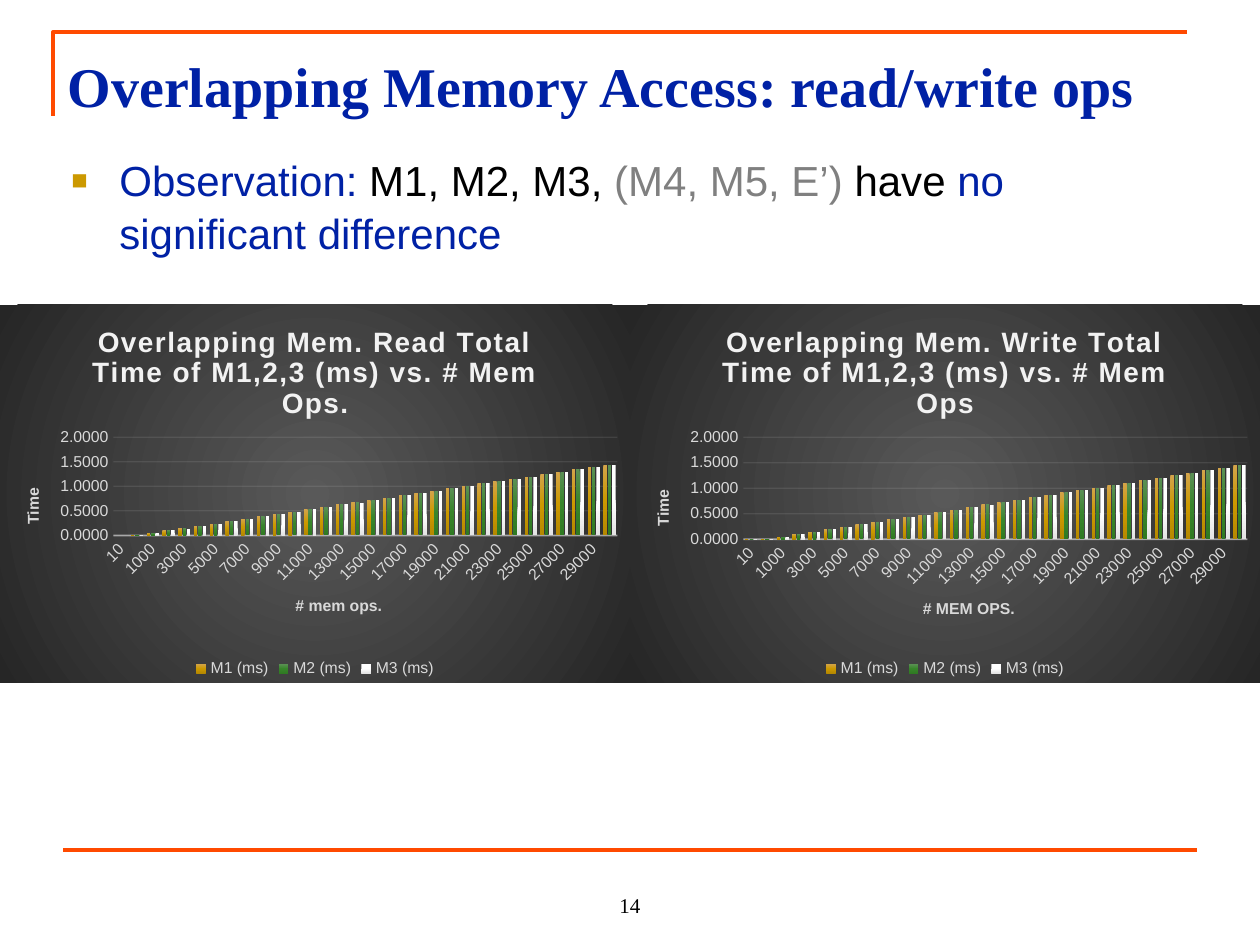
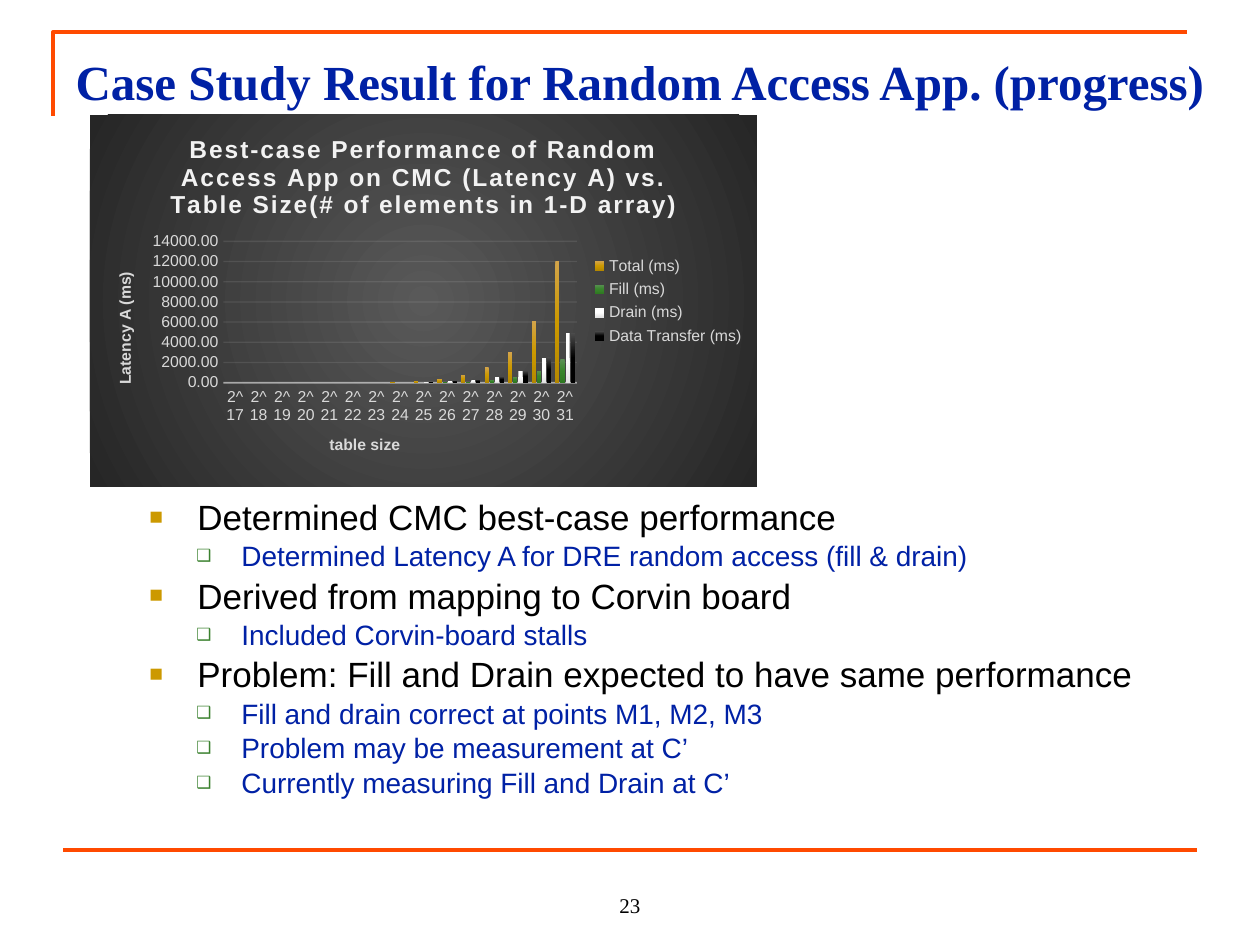
from pptx import Presentation
from pptx.chart.data import CategoryChartData
from pptx.dml.color import RGBColor
from pptx.enum.chart import XL_CHART_TYPE, XL_LEGEND_POSITION, XL_TICK_MARK
from pptx.enum.shapes import MSO_CONNECTOR
from pptx.enum.text import MSO_ANCHOR, MSO_AUTO_SIZE, PP_ALIGN
from pptx.oxml import parse_xml
from pptx.oxml.ns import nsdecls, qn
from pptx.oxml.xmlchemy import OxmlElement
from pptx.util import Pt

EMU_PER_PX = 914400 / 126
SANS, SERIF = "Arial", "Times New Roman"
BLUE = RGBColor(0x00, 0x21, 0xA5)
ORANGE = RGBColor(0xFF, 0x4A, 0x00)
BLACK = RGBColor(0x00, 0x00, 0x00)
GRAY = RGBColor(0x80, 0x80, 0x80)
GOLD = RGBColor(0xCC, 0x99, 0x00)
GREEN = RGBColor(0x3B, 0x81, 0x2F)
PALE = RGBColor(0xF2, 0xF2, 0xF2)
SILVER = RGBColor(0xD9, 0xD9, 0xD9)
SMOKE = RGBColor(0x59, 0x59, 0x59)
CHARCOAL = RGBColor(0x26, 0x26, 0x26)
WHITE = RGBColor(0xFF, 0xFF, 0xFF)

SERIES_SHADES = [
    (RGBColor(0xD3, 0xA4, 0x4B), GOLD, RGBColor(0xB5, 0x88, 0x00)),
    (RGBColor(0x5B, 0x90, 0x55), RGBColor(0x38, 0x85, 0x2B), RGBColor(0x2F, 0x7A, 0x22)),
    (WHITE, WHITE, RGBColor(0xE3, 0xE3, 0xE3)),
    (RGBColor(0x4B, 0x4B, 0x4B), BLACK, BLACK),
]
LINEAR = '<a:lin ang="5400000" scaled="0"/>'
RADIAL = ('<a:path path="circle"><a:fillToRect l="50000" t="50000" '
          'r="50000" b="50000"/></a:path>')

BULLETS = [
    {"mark": "■", "color": GOLD, "size": 65, "left": 48, "hang": 48},
    {"mark": "❑", "color": GREEN, "size": 60, "left": 92, "hang": 45},
]

MEMORY_OPS = [10, 100, *range(1000, 30001, 1000)]
READ_TIMES = [0, 0.01, 0.05, 0.1, 0.15, 0.19, 0.24, 0.29, 0.34, 0.39, 0.43,
              0.48, 0.53, 0.58, 0.63, 0.68, 0.72, 0.77, 0.82, 0.87, 0.91, 0.96,
              1.01, 1.06, 1.11, 1.16, 1.2, 1.25, 1.3, 1.35, 1.4, 1.44]
TABLE_SIZES = [f"2^{power}" for power in range(17, 32)]
LATENCIES = {
    "Total (ms)": [0] * 7 + [100, 200, 400, 800, 1500, 3000, 6100, 12100],
    "Fill (ms)": [0] * 9 + [100, 100, 300, 600, 1200, 2300],
    "Drain (ms)": [0] * 8 + [100, 200, 300, 600, 1200, 2400, 4900],
    "Data Transfer (ms)": [0] * 8 + [100, 200, 300, 600, 1200, 2500, 4900],
}


def px(length):
    return round(length * EMU_PER_PX)


def assign(target, values):
    for name, value in values.items():
        setattr(target, name, value)


def style_font(font, size, color, name=SANS, bold=False):
    assign(font, {"size": Pt(size), "name": name, "bold": bold})
    font.color.rgb = color


def place(shape, left, top, width, height):
    assign(shape, {"left": px(left), "top": px(top),
                   "width": px(width), "height": px(height)})


def revise(values, changes):
    return [changes.get(ops, value) for ops, value in zip(MEMORY_OPS, values)]


def gradient(shades, direction):
    last = len(shades) - 1
    stops = "".join(
        f'<a:gs pos="{index * 100000 // last}"><a:srgbClr val="{shade}"/></a:gs>'
        for index, shade in enumerate(shades))
    return parse_xml(f'<a:gradFill {nsdecls("a")} rotWithShape="1">'
                     f'<a:gsLst>{stops}</a:gsLst>{direction}</a:gradFill>')


def style_rule(line):
    line.color.rgb = ORANGE
    line.width = Pt(2.25)


def add_frame(page):
    builder = page.shapes.build_freeform(53, 116, scale=EMU_PER_PX)
    builder.add_line_segments([(53, 32), (1187, 32)], close=False)
    corner = builder.convert_to_shape()
    corner.shadow.inherit = False
    corner.fill.background()
    style_rule(corner.line)
    rule = page.shapes.add_connector(
        MSO_CONNECTOR.STRAIGHT, px(63), px(850), px(1197), px(850))
    style_rule(rule.line)
    rule.element.spPr.append(OxmlElement("a:effectLst"))


def add_title(page, text, size, position):
    title = page.shapes.title
    place(title, *position)
    frame = title.text_frame
    assign(frame, {"vertical_anchor": MSO_ANCHOR.TOP, "word_wrap": True,
                   "auto_size": MSO_AUTO_SIZE.NONE, "margin_top": px(13)})
    para = frame.paragraphs[0]
    para.alignment = PP_ALIGN.LEFT
    span = para.add_run()
    span.text = text
    style_font(span.font, size, BLUE, SERIF, True)


def add_text_box(page, position, **frame_format):
    box = page.shapes.add_textbox(*map(px, position))
    assign(box.text_frame, {"word_wrap": True, **frame_format})
    return box.text_frame


def add_page_number(page, number):
    frame = add_text_box(page, (504, 861, 252, 63), vertical_anchor=MSO_ANCHOR.BOTTOM)
    para = frame.paragraphs[0]
    para.alignment = PP_ALIGN.CENTER
    span = para.add_run()
    span.text = str(number)
    style_font(span.font, 12, BLACK, SERIF)


def add_bullet(para, level):
    bullet = BULLETS[level]
    para.level = level
    para.line_spacing = 1.04
    properties = para._p.get_or_add_pPr()
    properties.set("marL", str(px(bullet["left"])))
    properties.set("indent", str(-px(bullet["hang"])))
    for markup in (
            f'<a:buClr {nsdecls("a")}><a:srgbClr val="{bullet["color"]}"/></a:buClr>',
            f'<a:buSzPct {nsdecls("a")} val="{bullet["size"] * 1000}"/>',
            f'<a:buFont {nsdecls("a")} typeface="{SANS}"/>',
            f'<a:buChar {nsdecls("a")} char="{bullet["mark"]}"/>'):
        properties.append(parse_xml(markup))


def add_bullet_list(page, position, items):
    frame = add_text_box(page, position, margin_top=px(8))
    for index, (level, size, spans) in enumerate(items):
        para = frame.add_paragraph() if index else frame.paragraphs[0]
        add_bullet(para, level)
        for text, color in spans:
            span = para.add_run()
            span.text = text
            style_font(span.font, size, color)


def set_plot_area(chart, **fractions):
    plot_area = chart.element.find(qn("c:chart")).find(qn("c:plotArea"))
    for old in plot_area.findall(qn("c:layout")):
        plot_area.remove(old)
    sizes = "".join(f'<c:{name} val="{value}"/>' for name, value in fractions.items())
    plot_area.insert(0, parse_xml(
        f'<c:layout {nsdecls("c")}><c:manualLayout><c:layoutTarget val="inner"/>'
        f'<c:xMode val="edge"/><c:yMode val="edge"/>{sizes}'
        '</c:manualLayout></c:layout>'))


def set_heading(owner, text, size, color):
    para = owner.text_frame.paragraphs[0]
    span = para.add_run()
    span.text = text
    style_font(span.font, size, color, bold=True)


def style_axis(axis, title):
    assign(axis, {"major_tick_mark": XL_TICK_MARK.NONE,
                  "minor_tick_mark": XL_TICK_MARK.NONE})
    style_font(axis.tick_labels.font, 9, SILVER)
    set_heading(axis.axis_title, title, 9, SILVER)


def style_line(line, width):
    line.color.rgb = PALE
    line.width = Pt(width)


def set_attributes(chart, query, **values):
    for element in chart.element.xpath(query):
        for name, value in values.items():
            element.set(name, value)


def set_opacity(chart, query, percent):
    for color in chart.element.xpath(query):
        alpha = OxmlElement("a:alpha")
        alpha.set("val", str(percent * 1000))
        color.append(alpha)


def add_column_chart(page, position, categories, series, title, title_size,
                     axis_titles, number_format, top_value, step, legend_side,
                     label_turn, plot_area):
    data = CategoryChartData()
    data.categories = [str(category) for category in categories]
    for name, values in series.items():
        data.add_series(name, values)
    chart = page.shapes.add_chart(
        XL_CHART_TYPE.COLUMN_CLUSTERED, *map(px, position), data).chart
    style_font(chart.font, 10, BLACK)
    set_heading(chart.chart_title, title, title_size, PALE)
    set_attributes(chart, "./c:chart/c:title//a:rPr", spc="100")

    chart.has_legend = True
    assign(chart.legend, {"position": legend_side, "include_in_layout": False})
    style_font(chart.legend.font, 9, SILVER)

    category_axis, value_axis = chart.category_axis, chart.value_axis
    for axis, axis_title in zip((category_axis, value_axis), axis_titles):
        style_axis(axis, axis_title)
    style_line(category_axis.format.line, 1)
    value_axis.format.line.fill.background()
    style_line(value_axis.major_gridlines.format.line, 0.75)
    assign(value_axis, {"minimum_scale": 0, "maximum_scale": top_value,
                        "major_unit": step})
    assign(value_axis.tick_labels, {"number_format": number_format,
                                    "number_format_is_linked": False})
    set_opacity(chart, ".//c:catAx/c:spPr//a:srgbClr", 54)
    set_opacity(chart, ".//c:majorGridlines//a:srgbClr", 10)
    set_attributes(chart, ".//c:valAx/c:title//a:bodyPr", rot="-5400000", vert="horz")
    set_attributes(chart, ".//c:catAx/c:txPr/a:bodyPr",
                   rot=str(label_turn * 60000), vert="horz")

    assign(chart.plots[0], {"gap_width": 100, "overlap": -24,
                            "vary_by_categories": False})
    for bars, shades in zip(chart.element.iter(qn("c:ser")), SERIES_SHADES):
        bars.get_or_add_spPr().append(gradient(shades, LINEAR))
    background = OxmlElement("c:spPr")
    background.append(gradient((SMOKE, CHARCOAL), RADIAL))
    chart.element.find(qn("c:chart")).addnext(background)
    set_plot_area(chart, **plot_area)


def add_memory_chart(page, left, title, ops_title, times, third_times, plot_height):
    series = {"M1 (ms)": times, "M2 (ms)": times, "M3 (ms)": third_times}
    add_column_chart(
        page, (left, 305, 630, 378), MEMORY_OPS, series, title, 16,
        (ops_title, "Time"), "0.0000", 2, 0.5, XL_LEGEND_POSITION.BOTTOM, -45,
        {"x": 0.18, "y": 0.35, "w": 0.8, "h": plot_height})


def build_memory_access(page):
    add_title(page, "Overlapping Memory Access: read/write ops", 32,
              (55, 38, 1225, 110))
    add_bullet_list(page, (59, 145, 1142, 115), [
        (0, 24, [("Observation: ", BLUE), ("M1, M2, M3, ", BLACK),
                 ("(M4, M5, E’) ", GRAY), ("have ", BLACK),
                 ("no significant difference", BLUE)])])
    write_times = revise(READ_TIMES, {18000: 0.92, 19000: 0.92, 25000: 1.21, 30000: 1.45})
    write_times = revise(write_times, {18000: 0.87})if MEMORY_OPS[19] == 18000 else write_times
    add_memory_chart(
        page, 0, "Overlapping Mem. Read Total Time of M1,2,3 (ms) vs. # Mem Ops.",
        "# mem ops.", READ_TIMES, revise(READ_TIMES, {3000: 0.14, 14000: 0.67}), 0.26)
    add_memory_chart(
        page, 630, "Overlapping Mem. Write Total Time of M1,2,3 (ms) vs. # Mem Ops",
        "# MEM OPS.", write_times, revise(write_times, {14000: 0.67, 25000: 1.2}), 0.27)


def build_case_study(page):
    add_title(page, "Case Study Result for Random Access App. (progress)", 28,
              (63, 38, 1331, 130))
    add_column_chart(
        page, (90, 115, 667, 372), TABLE_SIZES, LATENCIES,
        "Best-case Performance of Random Access App on CMC (Latency A) vs. "
        "Table Size(# of elements in 1-D array)", 14,
        ("table size", "Latency A (ms)"), "0.00", 14000, 2000,
        XL_LEGEND_POSITION.RIGHT, 0, {"x": 0.2, "y": 0.34, "w": 0.53, "h": 0.38})
    outline = [
        (0, "Determined CMC best-case performance"),
        (1, "Determined Latency A for DRE random access (fill & drain)"),
        (0, "Derived from mapping to Corvin board"),
        (1, "Included Corvin-board stalls"),
        (0, "Problem: Fill and Drain expected to have same performance"),
        (1, "Fill and drain correct at points M1, M2, M3"),
        (1, "Problem may be measurement at C’"),
        (1, "Currently measuring Fill and Drain at C’"),
    ]
    level_styles = [(20, BLACK), (16, BLUE)]
    add_bullet_list(page, (137, 486, 1032, 280), [
        (level, level_styles[level][0], [(text, level_styles[level][1])])
        for level, text in outline])


def main():
    deck = Presentation()
    assign(deck, {"slide_width": px(1260), "slide_height": px(945)})
    for number, build in ((14, build_memory_access), (23, build_case_study)):
        page = deck.slides.add_slide(deck.slide_layouts[5])
        add_frame(page)
        build(page)
        add_page_number(page, number)
    deck.save("out.pptx")


if __name__ == "__main__":
    main()
